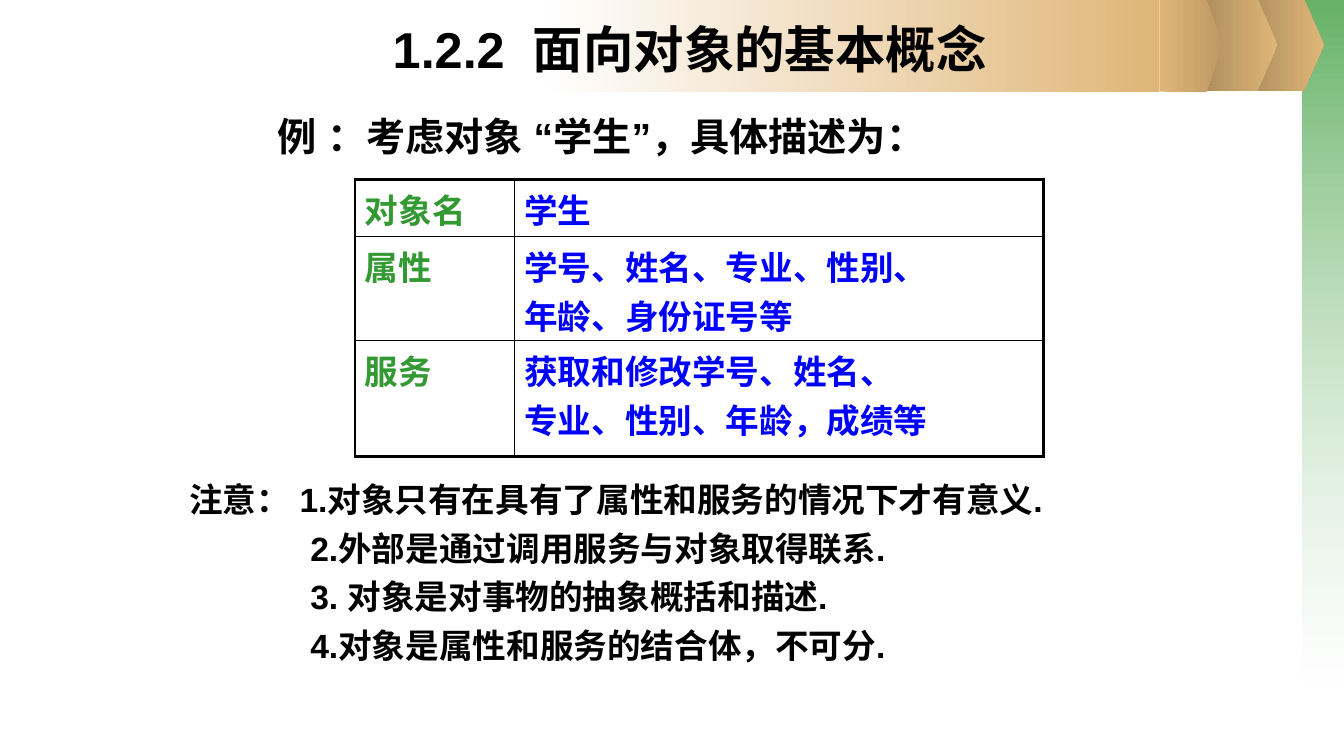
import pptx
import pptx.util
import pptx.oxml
import pptx.oxml.ns
import pptx.dml.color
import pptx.enum.shapes
import pptx.enum.text

Inches, Pt = pptx.util.Inches, pptx.util.Pt
RGBColor = pptx.dml.color.RGBColor
MSO_SHAPE = pptx.enum.shapes.MSO_SHAPE
PP_ALIGN = pptx.enum.text.PP_ALIGN
MSO_ANCHOR = pptx.enum.text.MSO_ANCHOR
qn = pptx.oxml.ns.qn

BLACK = RGBColor(0x00, 0x00, 0x00)
WHITE = RGBColor(0xFF, 0xFF, 0xFF)
GREEN = RGBColor(0x33, 0x99, 0x33)
BLUE = RGBColor(0x00, 0x00, 0xFF)
SAND = RGBColor(0xE0, 0xB6, 0x78)
BROWN = RGBColor(0xAB, 0x8B, 0x5C)
TAN = RGBColor(0xBD, 0x99, 0x65)


def write(tf, lines, size, font, color, align=PP_ALIGN.LEFT, gap=0, hang=0):
    tf.word_wrap = True
    tf.vertical_anchor = MSO_ANCHOR.TOP
    for i, line in enumerate(lines):
        p = tf.paragraphs[0] if i == 0 else tf.add_paragraph()
        p.alignment = align
        p.space_before = Pt(gap if i else 0)
        if hang:
            pPr = p._p.get_or_add_pPr()
            pPr.set("marL", str(Inches(hang)))
            pPr.set("indent", str(0 if i else -Inches(hang)))
        r = p.add_run()
        r.text = line
        for name, value in {"size": Pt(size), "bold": True, "name": font}.items():
            setattr(r.font, name, value)
        r.font.color.rgb = color
        if font == "Arial":
            ea = pptx.oxml.parse_xml(
                f'<a:ea {pptx.oxml.ns.nsdecls("a")} typeface="{font}"/>')
            r.font._element.find(qn("a:latin")).addnext(ea)


def add_border(cell, side, width):
    ln = pptx.oxml.parse_xml(
        f'<a:ln{side} {pptx.oxml.ns.nsdecls("a")} w="{Pt(width)}">'
        f'<a:solidFill><a:srgbClr val="{BLACK}"/></a:solidFill></a:ln{side}>')
    cell._tc.get_or_add_tcPr().append(ln)


prs = pptx.Presentation()
prs.slide_width, prs.slide_height = Inches(13.33), Inches(7.5)
s = prs.slides.add_slide(prs.slide_layouts[5])

bands = [
    (MSO_SHAPE.RECTANGLE, (12.92, 0, 0.41, 6.77), (GREEN, WHITE), 270, (75, 37)),
    (MSO_SHAPE.PENTAGON, (12.34, -0.01, 0.79, 0.91), (BROWN, SAND), 0, None),
    (MSO_SHAPE.PENTAGON, (11.88, -0.01, 0.79, 0.91), (BROWN, SAND), 0, None),
    (MSO_SHAPE.RECTANGLE, (5.36, 0, 6.14, 0.91), (WHITE, SAND), 0, None),
    (MSO_SHAPE.PENTAGON, (11.5, 0, 0.62, 0.91), (SAND, TAN), 0, None),
]
for kind, box, colors, angle, alphas in bands:
    sp = s.shapes.add_shape(kind, *map(Inches, box))
    sp.shadow.inherit = False
    sp.line.fill.background()
    if kind == MSO_SHAPE.PENTAGON:
        sp.adjustments[0] = 0.25
    sp.fill.gradient()
    sp.fill.gradient_angle = angle
    for i, stop in enumerate(sp.fill.gradient_stops):
        stop.position = i
        stop.color.rgb = colors[i]
        if alphas:
            clr = stop._gs.find(qn("a:srgbClr"))
            clr.append(pptx.oxml.parse_xml(
                f'<a:alpha {pptx.oxml.ns.nsdecls("a")} val="{alphas[i] * 1000}"/>'))

title = s.shapes.title
s.shapes._spTree.append(title._element)
for name, value in {"left": 2.34, "top": 0.13, "width": 9, "height": 1.25}.items():
    setattr(title, name, Inches(value))
write(title.text_frame, ["1.2.2  面向对象的基本概念"], 36, "Arial", BLACK, PP_ALIGN.CENTER)

example = s.shapes.add_textbox(Inches(2.65), Inches(1.07), Inches(8.5), Inches(4.5))
write(example.text_frame, ["例 ：考虑对象 “学生”，具体描述为："], 28, "Arial", BLACK, hang=0.38)

rows = [
    (0.57, "对象名", ["学生"]),
    (1.03, "属性", ["学号、姓名、专业、性别、", "年龄、身份证号等"]),
    (1.15, "服务", ["获取和修改学号、姓名、", "专业、性别、年龄，成绩等"]),
]
table = s.shapes.add_table(3, 2, Inches(3.52), Inches(1.78), Inches(6.83), Inches(2.75)).table
table.first_row = table.horz_banding = False
table.columns[0].width, table.columns[1].width = Inches(1.58), Inches(5.25)
for i, (height, label, lines) in enumerate(rows):
    table.rows[i].height = Inches(height)
    for j, (texts, color) in enumerate([([label], GREEN), (lines, BLUE)]):
        cell = table.cell(i, j)
        write(cell.text_frame, texts, 24, "Times New Roman", color)
        cell.vertical_anchor = MSO_ANCHOR.TOP
        outer = {"L": j == 0, "R": j == 1, "T": i == 0, "B": i == 2}
        for side, is_outer in outer.items():
            add_border(cell, side, 2.25 if is_outer else 1)
        cell.fill.background()

notes = s.shapes.add_textbox(Inches(1.78), Inches(4.7), Inches(9.96), Inches(1.96))
write(notes.text_frame, [
    "注意： 1.对象只有在具有了属性和服务的情况下才有意义.",
    "2.外部是通过调用服务与对象取得联系.",
    "3. 对象是对事物的抽象概括和描述.",
    "4.对象是属性和服务的结合体，不可分.",
], 24, "Arial", BLACK, gap=6, hang=1.2)

prs.save("out.pptx")
